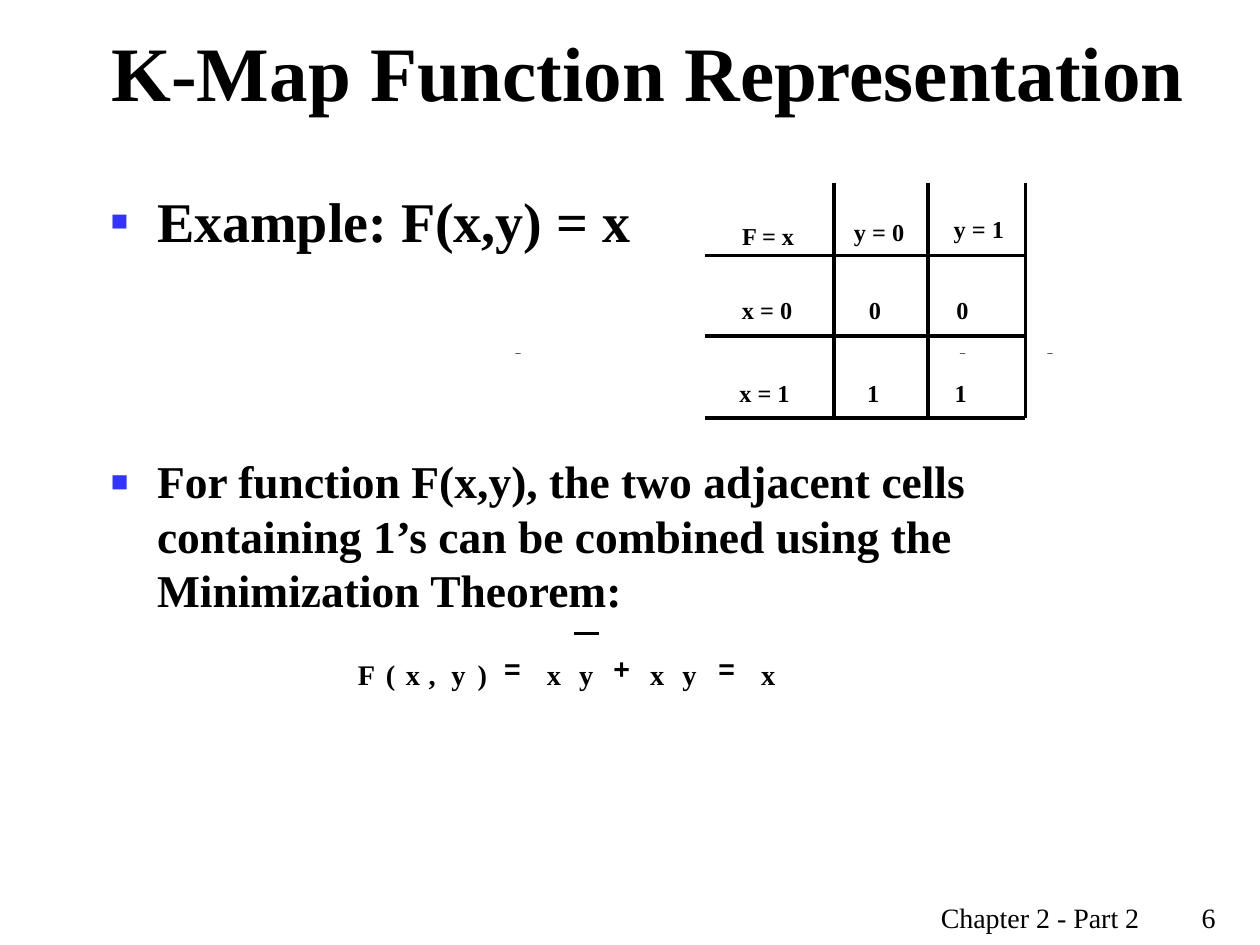
from lxml import etree
from pptx import Presentation
from pptx.dml.color import RGBColor
from pptx.enum.shapes import MSO_CONNECTOR, MSO_SHAPE
from pptx.enum.text import MSO_ANCHOR, MSO_AUTO_SIZE, PP_ALIGN
from pptx.oxml.ns import qn
from pptx.util import Pt

STRAIGHT = MSO_CONNECTOR.STRAIGHT
RECTANGLE = MSO_SHAPE.RECTANGLE
LEFT = PP_ALIGN.LEFT
TOP, MIDDLE = MSO_ANCHOR.TOP, MSO_ANCHOR.MIDDLE
FIXED, GROW = MSO_AUTO_SIZE.NONE, MSO_AUTO_SIZE.SHAPE_TO_FIT_TEXT

THEME = {
    "ink": RGBColor(0x00, 0x00, 0x00),
    "bullet": "3333FF",
    "serif": "Times New Roman",
    "sans": "Arial",
    "title": Pt(44),
    "example": Pt(32),
    "statement": Pt(26),
    "formula": Pt(28),
    "cell": Pt(24),
    "footer": Pt(16),
    "rule": Pt(2.25),
}


def style_font(font, size, bold=True, name=THEME["serif"]):
    for attribute, value in {"size": size, "bold": bold, "name": name}.items():
        setattr(font, attribute, value)
    font.color.rgb = THEME["ink"]


def add_lowered_label(text, left, top, width, height, size, name=THEME["serif"]):
    """Add a tight label whose text is set as a subscript."""
    label = slide.shapes.add_textbox(Pt(left), Pt(top), Pt(width), Pt(height))
    frame = label.text_frame
    frame_format = {"margin_left": 0, "margin_right": 0, "margin_top": 0,
                    "margin_bottom": 0, "word_wrap": False, "auto_size": GROW}
    for attribute, value in frame_format.items():
        setattr(frame, attribute, value)
    run = frame.paragraphs[0].add_run()
    run.text = text
    style_font(run.font, size, name=name)
    run.font._element.set("baseline", "-25000")


prs = Presentation()
prs.slide_width, prs.slide_height = Pt(720), Pt(540)
slide = prs.slides.add_slide(prs.slide_layouts[1])

# Title
title = slide.shapes.title
title.left, title.top, title.width, title.height = Pt(56.5), Pt(0), Pt(647), Pt(81)
title.text_frame.text = "K-Map Function Representation"
title.text_frame.auto_size = FIXED
title.text_frame.vertical_anchor = MIDDLE
heading = title.text_frame.paragraphs[0]
heading.alignment = LEFT
style_font(heading.font, THEME["title"])

# Bulleted statements, with room left for the map between them
body = slide.placeholders[1]
body.left, body.top, body.width, body.height = Pt(55.5), Pt(103), Pt(612), Pt(394.5)
body.text_frame.auto_size = FIXED
body.text_frame.vertical_anchor = TOP
statements = [
    ("Example: F(x,y) = x", THEME["example"], 0, 100),
    ("For function F(x,y), the two adjacent cells containing 1’s can be "
     "combined using the Minimization Theorem:", THEME["statement"], 114, 125),
]
body.text_frame.text = "\n".join(statement[0] for statement in statements)
for paragraph, (_, size, gap, bullet_percent) in zip(body.text_frame.paragraphs, statements):
    paragraph.space_before = Pt(gap)
    properties = paragraph._p.get_or_add_pPr()
    properties.set("marL", str(Pt(27)))
    properties.set("indent", str(-Pt(27)))
    bullet_color = etree.SubElement(properties, qn("a:buClr"))
    etree.SubElement(bullet_color, qn("a:srgbClr"), val=THEME["bullet"])
    etree.SubElement(properties, qn("a:buSzPct"), val=str(bullet_percent * 1000))
    etree.SubElement(properties, qn("a:buFont"), typeface=THEME["sans"])
    etree.SubElement(properties, qn("a:buChar"), char="▪")
    style_font(paragraph.font, size)

# Small dashes beside the map
for dash_left in (294.5, 548.5, 598.5):
    dash = slide.shapes.add_shape(RECTANGLE, Pt(dash_left), Pt(202), Pt(3), Pt(0.25))
    dash.shadow.inherit = False
    dash.fill.solid()
    dash.fill.fore_color.rgb = THEME["ink"]
    dash.line.fill.background()

# Rules of the map, and the bar over the complemented y
map_left, map_right, map_top, map_bottom = 403, 586, 104.5, 239
rules = [(x, map_top, x, map_bottom) for x in (476.5, 530.5, map_right)]
rules += [(map_left, y, map_right, y) for y in (146, 192, map_bottom)]
rules.append((328, 362, 342, 362))
for x1, y1, x2, y2 in rules:
    rule = slide.shapes.add_connector(STRAIGHT, Pt(x1), Pt(y1), Pt(x2), Pt(y2))
    rule.line.color.rgb = THEME["ink"]
    rule.line.width = THEME["rule"]
    etree.SubElement(rule._element.spPr, qn("a:effectLst"))

# Map cells: text, left, top, width
cells = [
    ("F = x", 424, 110, 32), ("y = 0", 488, 108, 30), ("y = 1", 545, 106.5, 30),
    ("x = 0", 424, 152.5, 30), ("0", 496.5, 152.5, 8), ("0", 546.5, 152.5, 8),
    ("x = 1", 422.5, 200, 30), ("1", 495.5, 200, 8), ("1", 545.5, 200, 8),
]
for text, left, top, width in cells:
    add_lowered_label(text, left, top, width, 33, THEME["cell"])

# Formula: symbol and left edge
symbol_widths = {"F": 10, "(": 6, ")": 6, ",": 4, "x": 8, "y": 8, "=": 13, "+": 9.5}
formula = [
    ("F", 204.5), ("(", 220.5), ("x", 232), (",", 245), ("y", 258), (")", 273),
    ("=", 288), ("x", 312.5), ("y", 331), ("+", 350.5), ("x", 371.5), ("y", 390),
    ("=", 410.5), ("x", 435),
]
for symbol, left in formula:
    is_operator = symbol in "=+"
    add_lowered_label(symbol, left, 353.5 if is_operator else 356.5,
                      symbol_widths[symbol], 38, THEME["formula"],
                      THEME["sans"] if is_operator else THEME["serif"])

# Footer, with the page number at a tab stop
footer = slide.shapes.add_textbox(Pt(530.5), Pt(511), Pt(187), Pt(26.5))
footer.text_frame.word_wrap = True
footer_line = footer.text_frame.paragraphs[0]
tab_stops = etree.SubElement(footer_line._p.get_or_add_pPr(), qn("a:tabLst"))
etree.SubElement(tab_stops, qn("a:tab"), pos=str(Pt(149)), algn="l")
footer_run = footer_line.add_run()
footer_run.text = "Chapter 2 - Part 2\t6"
style_font(footer_run.font, THEME["footer"], bold=False)

prs.save("out.pptx")
